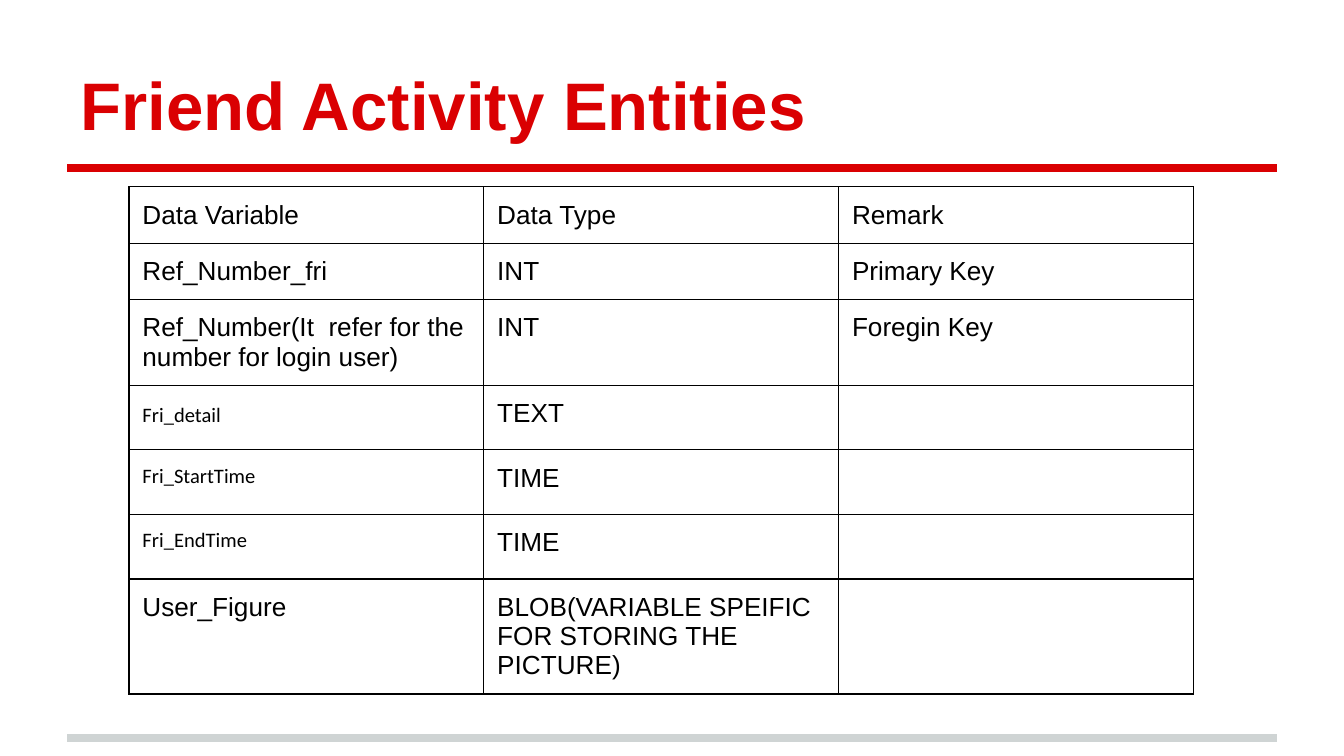
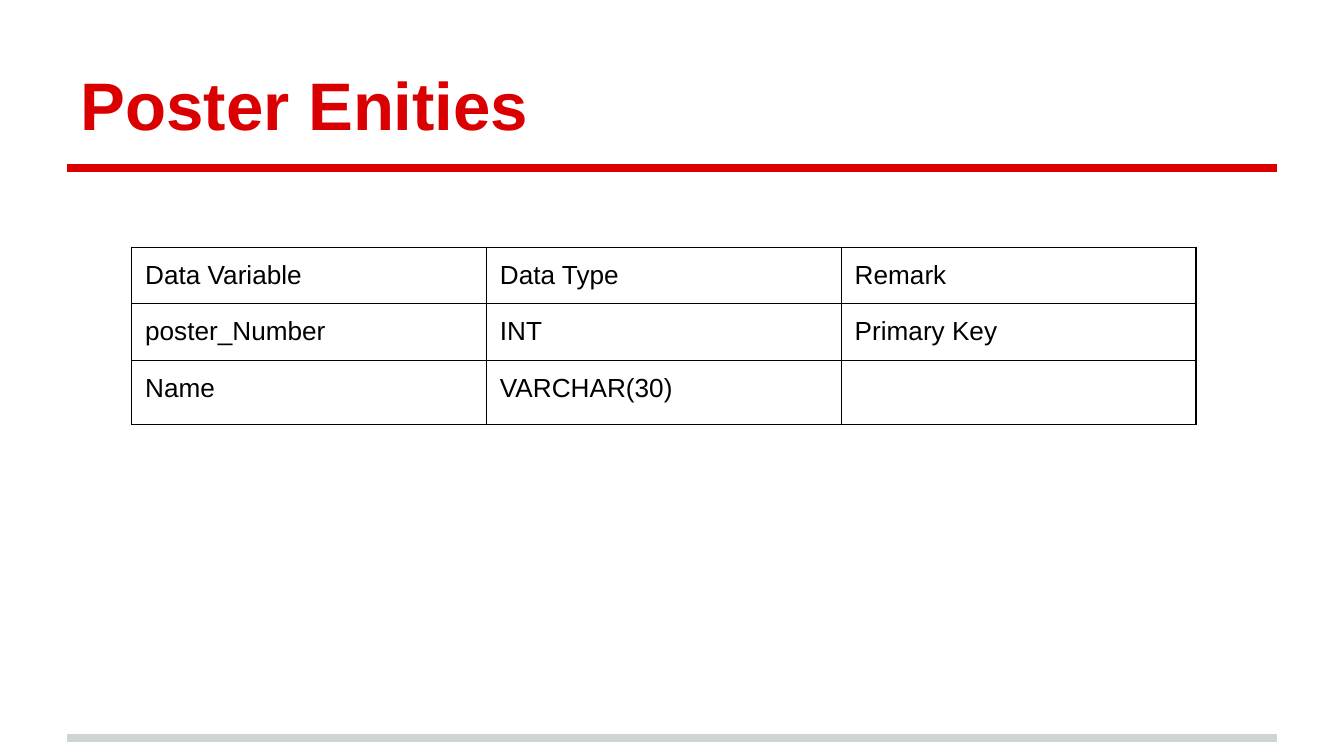
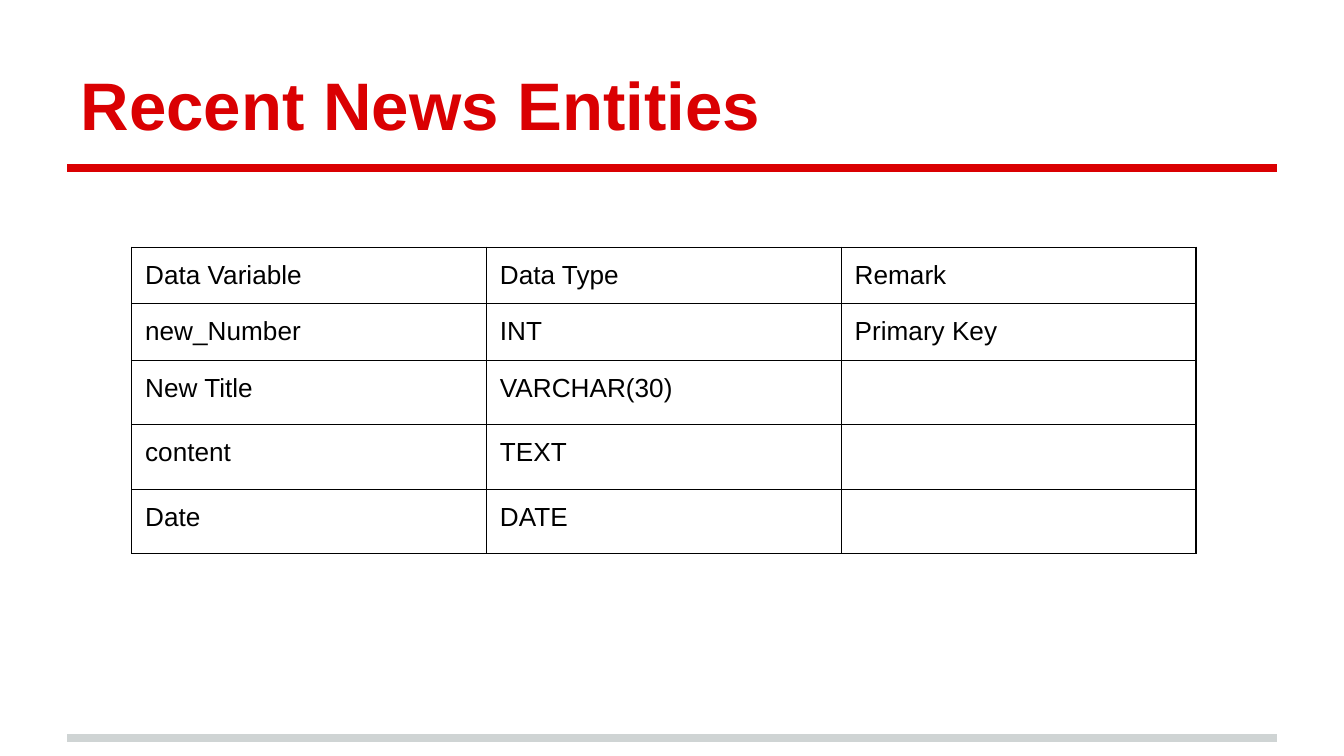
"""Build three slides of database entity tables under a shared red title style."""
from lxml import etree
from pptx import Presentation
from pptx.dml.color import RGBColor
from pptx.enum.shapes import MSO_CONNECTOR
from pptx.enum.text import MSO_ANCHOR, MSO_AUTO_SIZE, PP_ALIGN
from pptx.oxml import parse_xml
from pptx.oxml.ns import nsdecls, qn
from pptx.util import Inches, Pt

STRAIGHT = MSO_CONNECTOR.STRAIGHT
BOTTOM = MSO_ANCHOR.BOTTOM
NO_AUTOFIT = MSO_AUTO_SIZE.NONE
LEFT = PP_ALIGN.LEFT

RED = RGBColor(0xDA, 0x00, 0x02)
GREY = RGBColor(0xCF, 0xD4, 0xD4)
BLACK = RGBColor(0x00, 0x00, 0x00)

SLIDE_WIDTH = Inches(10)
SLIDE_HEIGHT = SLIDE_WIDTH * 9 // 16
MARGIN = int(SLIDE_WIDTH * 0.05)
CONTENT_WIDTH = SLIDE_WIDTH - 2 * MARGIN
TITLE_TOP = Inches(0.23)
TITLE_HEIGHT = Inches(0.94)
TITLE_RULE_TOP = Inches(1.25)
FOOTER_RULE_TOP = Inches(5.49)
COLUMN_WIDTH = Inches(2.64)
ROW_HEIGHT = Inches(0.42)
INSET = Inches(0.1)

HEADINGS = ("Data Variable", "Data Type", "Remark")
SMALL_NAMES = ("Fri_detail", "Fri_StartTime", "Fri_EndTime")
ENTITIES = [
    ("Friend Activity Entities", 0.96, 1.39, [
        ("Ref_Number_fri", "INT", "Primary Key"),
        ("Ref_Number(It  refer for the number for login user)", "INT", "Foregin Key"),
        ("Fri_detail", "TEXT", ""),
        ("Fri_StartTime", "TIME", ""),
        ("Fri_EndTime", "TIME", ""),
        ("User_Figure", "BLOB(VARIABLE SPEIFIC FOR STORING THE PICTURE)", ""),
    ]),
    ("Poster Enities", 0.98, 1.84, [
        ("poster_Number", "INT", "Primary Key"),
        ("Name", "VARCHAR(30)", ""),
    ]),
    ("Recent News Entities", 0.98, 1.84, [
        ("new_Number", "INT", "Primary Key"),
        ("New Title", "VARCHAR(30)", ""),
        ("content", "TEXT", ""),
        ("Date", "DATE", ""),
    ]),
]


def set_insets(holder):
    holder.margin_left = holder.margin_right = INSET
    holder.margin_top = holder.margin_bottom = INSET


def format_run(run, font_name, size, color, bold=False):
    run.font.name = font_name
    run.font.size = Pt(size)
    run.font.color.rgb = color
    run.font.bold = bold


presentation = Presentation()
presentation.slide_width = SLIDE_WIDTH
presentation.slide_height = SLIDE_HEIGHT
layout = presentation.slide_layouts.get_by_name("Title Only")

for title_text, table_left, table_top, records in ENTITIES:
    slide = presentation.slides.add_slide(layout)

    title = slide.shapes.title
    title.left, title.top = MARGIN, TITLE_TOP
    title.width, title.height = CONTENT_WIDTH, TITLE_HEIGHT
    title.text_frame.text = title_text
    title.text_frame.vertical_anchor = BOTTOM
    title.text_frame.auto_size = NO_AUTOFIT
    set_insets(title.text_frame)
    title_paragraph = title.text_frame.paragraphs[0]
    title_paragraph.alignment = LEFT
    format_run(title_paragraph.runs[0], "Arial", 36, RED, bold=True)

    rows = [HEADINGS, *records]
    table = slide.shapes.add_table(
        len(rows), len(HEADINGS), Inches(table_left), Inches(table_top),
        COLUMN_WIDTH * len(HEADINGS), ROW_HEIGHT * len(rows)).table
    table.first_row = False
    table.horz_banding = False

    for row_index, row in enumerate(rows):
        for column_index, text in enumerate(row):
            cell = table.cell(row_index, column_index)
            set_insets(cell)
            cell_properties = cell._tc.get_or_add_tcPr()
            for side in ("lnL", "lnR", "lnT", "lnB"):
                cell_properties.append(parse_xml(
                    f'<a:{side} {nsdecls("a")} w="{Pt(0.75)}"><a:solidFill>'
                    f'<a:srgbClr val="{BLACK}"/></a:solidFill></a:{side}>'))
            cell.fill.background()
            paragraph = cell.text_frame.paragraphs[0]
            if not text:
                paragraph._p.append(parse_xml(
                    f'<a:endParaRPr {nsdecls("a")} sz="1800">'
                    '<a:latin typeface="Arial"/></a:endParaRPr>'))
                continue
            paragraph.text = text
            if text in SMALL_NAMES:
                format_run(paragraph.runs[0], "Calibri", 11, BLACK)
            else:
                format_run(paragraph.runs[0], "Arial", 14, BLACK)
            if text == "Fri_detail":
                paragraph.line_spacing = 1.15
                paragraph.space_after = Pt(8)

for rule_top, color in ((FOOTER_RULE_TOP, GREY), (TITLE_RULE_TOP, RED)):
    rule = presentation.slides[0].shapes.add_connector(
        STRAIGHT, MARGIN, rule_top, MARGIN + CONTENT_WIDTH, rule_top)
    rule.line.color.rgb = color
    rule.line.width = Pt(4)
    etree.SubElement(rule.element.spPr, qn("a:effectLst"))
    layout.shapes.element.append(rule.element)

presentation.save("out.pptx")
